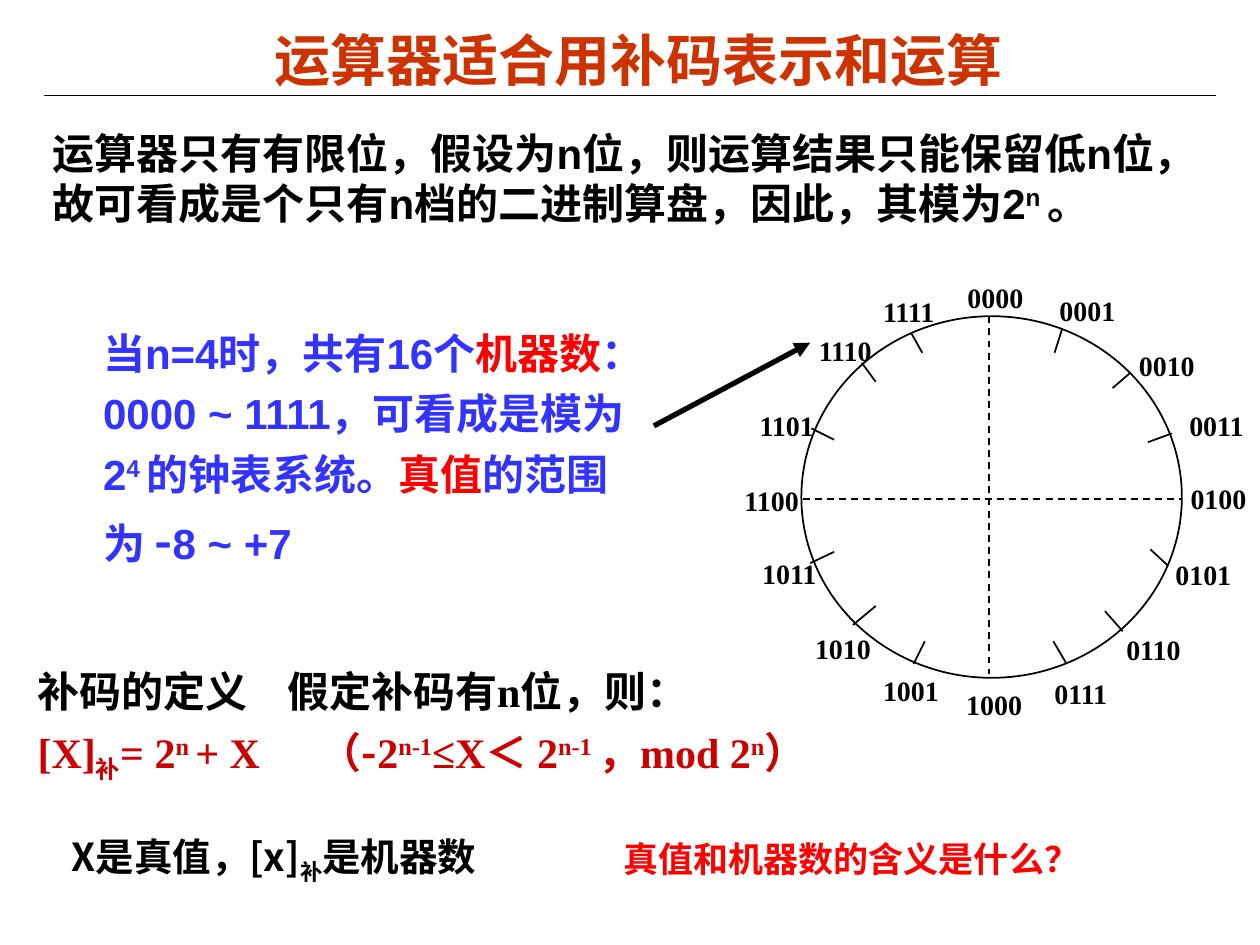
from lxml.etree import SubElement as Sub
from pptx import Presentation
from pptx.dml.color import RGBColor as RGB
from pptx.enum.dml import MSO_LINE as Dash
from pptx.enum.shapes import MSO_CONNECTOR as Conn, MSO_SHAPE as Shape
from pptx.enum.text import MSO_AUTO_SIZE as Fit, PP_ALIGN as Align
from pptx.oxml.ns import qn
from pptx.util import Inches, Pt

HUES = {
    "ink": "000000",
    "title": "CC3300",
    "blue": "3333FF",
    "red": "FF0000",
    "rule": "CC0000",
}
SANS, SERIF, HAN = "Arial", "Times New Roman", "Noto Sans CJK SC"


class Page:
    def __init__(self, slide):
        self.slide = slide

    def hue(self, name):
        return RGB.from_string(HUES[name])

    def text(self, x, y, w, h, wrap=True, pad=None):
        shape = self.slide.shapes.add_textbox(*map(Inches, (x, y, w, h)))
        frame = shape.text_frame
        frame.word_wrap = wrap
        frame.auto_size = Fit.SHAPE_TO_FIT_TEXT
        if pad:
            frame.margin_left = frame.margin_right = Inches(pad[0])
            frame.margin_top = frame.margin_bottom = Inches(pad[1])
        return frame

    def run(self, para, text, size, face=SANS, hue="ink", base=0):
        run = para.add_run()
        run.text = text
        font = run.font
        font.size, font.bold, font.name = Pt(size), True, face
        font.color.rgb = self.hue(hue)
        props = run._r.get_or_add_rPr()
        Sub(props, qn("a:ea")).set("typeface", HAN)
        if base:
            props.set("baseline", str(base * 1000))

    def tab(self, para, x):
        tabs = Sub(para._p.get_or_add_pPr(), qn("a:tabLst"))
        Sub(tabs, qn("a:tab"), pos=str(Inches(x)), algn="l")

    def line(self, x1, y1, x2, y2, width=1, dash=False, head=False):
        link = self.slide.shapes.add_connector(
            Conn.STRAIGHT, *map(Inches, (x1, y1, x2, y2)))
        link.line.width = Pt(width)
        link.line.color.rgb = self.hue("ink")
        if dash:
            link.line.dash_style = Dash.DASH
        if head:
            Sub(link.line._get_or_add_ln(), qn("a:tailEnd"), type="triangle")
        Sub(link._element.spPr, qn("a:effectLst"))

    def ring(self, x, y, w, h):
        ring = self.slide.shapes.add_shape(
            Shape.OVAL, *map(Inches, (x, y, w, h)))
        ring.shadow.inherit = False
        ring.fill.background()
        ring.line.width = Pt(1)
        ring.line.color.rgb = self.hue("ink")


CODES = [
    (7.58, 2.18), (8.31, 2.28), (8.94, 2.72), (9.34, 3.19),
    (9.35, 3.77), (9.23, 4.38), (8.84, 4.97), (8.27, 5.32),
    (7.57, 5.41), (6.91, 5.3), (6.37, 4.96), (5.95, 4.37),
    (5.81, 3.79), (5.93, 3.19), (6.4, 2.6), (6.91, 2.29),
]
TICKS = [
    (8.37, 2.8, 8.43, 2.61), (8.83, 3.08, 8.97, 2.96), (9.11, 3.51, 9.3, 3.44),
    (9.13, 4.36, 9.27, 4.49), (8.77, 4.85, 8.91, 5.01), (8.36, 5.09, 8.46, 5.26),
    (7.25, 5.27, 7.34, 5.09), (6.95, 4.81, 6.77, 4.96), (6.62, 4.38, 6.43, 4.47),
    (6.62, 3.49, 6.44, 3.4), (6.84, 2.88, 6.95, 3.03), (7.23, 2.64, 7.32, 2.8),
]


def dial(page):
    page.ring(6.36, 2.51, 3.02, 2.87)
    page.line(6.37, 3.96, 9.38, 3.96, dash=True)
    page.line(7.85, 2.51, 7.85, 5.35, dash=True)
    for tick in TICKS:
        page.line(*tick)
    for num, (x, y) in enumerate(CODES):
        wide = num in (8, 12)
        frame = page.text(x, y, 0.69 if wide else 0.65, 0.37, wrap=wide)
        page.run(frame.paragraphs[0], f"{num:04b}", 16, SERIF)


def head(page):
    page.line(0.35, 0.76, 9.65, 0.76, 0.75)
    para = page.text(0.53, 0.17, 9.08, 0.59, pad=(0.07, 0.03)).paragraphs[0]
    para.alignment = Align.CENTER
    page.run(para, "运算器适合用补码表示和运算", 32, hue="title")


def intro(page):
    para = page.text(0.32, 0.96, 9.45, 0.9).paragraphs[0]
    page.run(para, "运算器只有有限位，假设为n位，则运算结果只能保留低n位，"
                   "故可看成是个只有n档的二进制算盘，因此，其模为2", 24)
    page.run(para, "n ", 24, base=30)
    page.run(para, "。", 24)


def case(page):
    para = page.text(0.72, 2.47, 4.63, 2.1).paragraphs[0]
    para.line_spacing = 1.2
    for text, hue, base in [
        ("当n=4时，共有16个", "blue", 0),
        ("机器数", "red", 0),
        ("：0000 ~ 1111，可看成是模为2", "blue", 0),
        ("4 ", "blue", 30),
        ("的钟表系统。", "blue", 0),
        ("真值", "red", 0),
        ("的范围为 ", "blue", 0),
    ]:
        page.run(para, text, 24, hue=hue, base=base)
    page.run(para, "-", 28, HAN, "blue")
    page.run(para, "8 ~ +7", 24, hue="blue")
    page.line(5.19, 3.38, 6.43, 2.72, 3, head=True)


def rule(page):
    frame = page.text(0.2, 5.23, 7.95, 1)
    top, para = frame.paragraphs[0], frame.add_paragraph()
    page.tab(top, 1.98)
    page.run(top, "补码的定义\t假定补码有n位，则：", 24, SERIF)
    para.space_before = Pt(6)
    page.tab(para, 2.24)
    for text, base, face in [
        ("[X]", 0, SERIF), ("补", -25, SERIF), ("= 2", 0, SERIF),
        ("n ", 30, SERIF), ("+ X\t（", 0, SERIF), ("-", 0, HAN),
        ("2", 0, SERIF), ("n-1", 30, SERIF), ("≤X＜ 2", 0, SERIF),
        ("n-1 ", 30, SERIF), ("，mod 2", 0, SERIF), ("n", 30, SERIF),
        ("）", 0, SERIF),
    ]:
        page.run(para, text, 24, face, "rule", base)


def foot(page):
    para = page.text(0.47, 6.56, 3.59, 0.47).paragraphs[0]
    for text, base in [("X是真值，[x]", 0), ("补", -25), ("是机器数", 0)]:
        page.run(para, text, 22, HAN, base=base)
    para = page.text(4.85, 6.6, 4.63, 0.43).paragraphs[0]
    page.run(para, "真值和机器数的含义是什么？", 20, hue="red")


def main():
    deck = Presentation()
    deck.slide_width, deck.slide_height = Inches(10), Inches(7.5)
    page = Page(deck.slides.add_slide(deck.slide_layouts[6]))
    for part in (head, dial, intro, case, rule, foot):
        part(page)
    deck.save("out.pptx")


if __name__ == "__main__":
    main()
